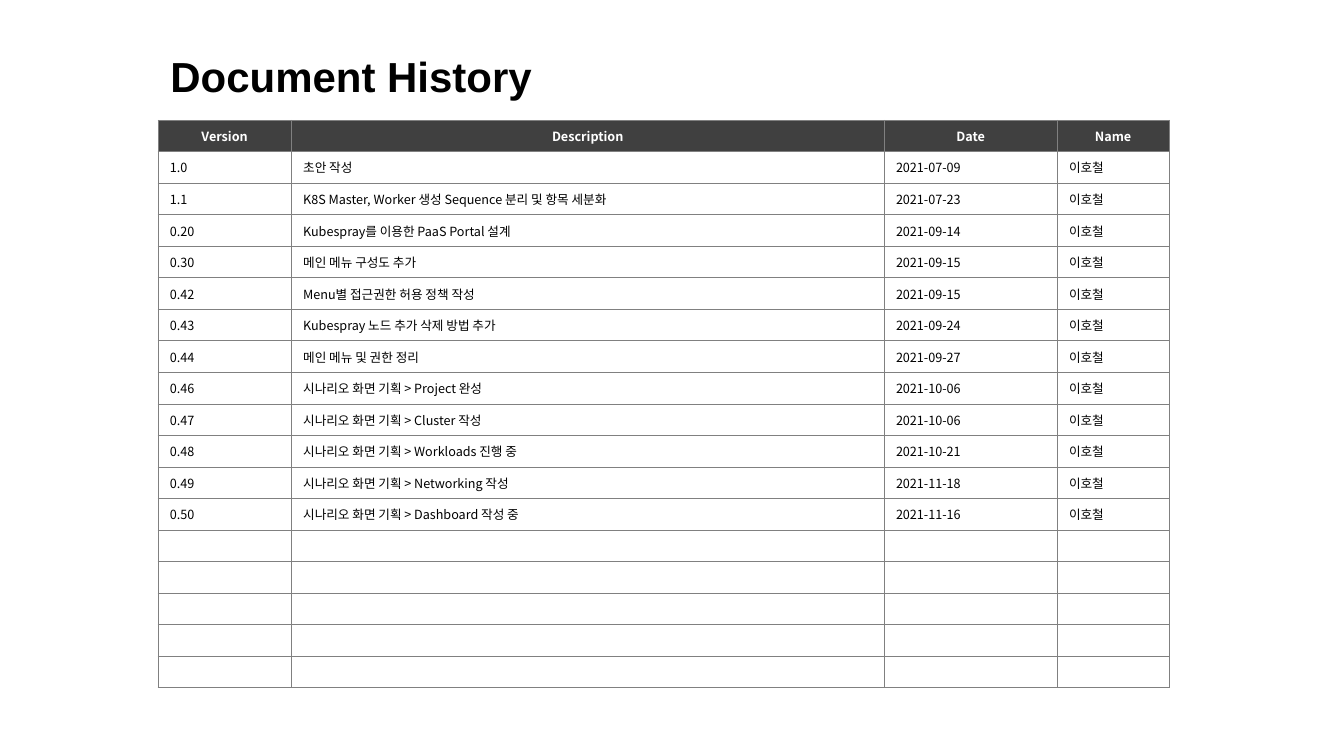
"""Build the document history slide with its version table."""
from lxml.etree import SubElement
from pptx import Presentation
from pptx.dml.color import RGBColor
from pptx.enum.text import MSO_ANCHOR, MSO_AUTO_SIZE, PP_ALIGN
from pptx.oxml.ns import qn
from pptx.util import Cm, Pt

BLACK = RGBColor(0x00, 0x00, 0x00)
WHITE = RGBColor(0xFF, 0xFF, 0xFF)
DARK = RGBColor(0x40, 0x40, 0x40)
GRAY = RGBColor(0x80, 0x80, 0x80)
FONT = "Noto Sans CJK KR"
SIZE = Pt(9)
TOTAL = 18
AUTHOR = "이호철"
WIDTHS = [3.36, 14.94, 4.36, 2.82]
HEADS = ["Version", "Description", "Date", "Name"]
ITEMS = [
    ("1.0", "초안 작성", "2021-07-09"),
    ("1.1", "K8S Master, Worker 생성 Sequence 분리 및 항목 세분화", "2021-07-23"),
    ("0.20", "Kubespray를 이용한 PaaS Portal 설계", "2021-09-14"),
    ("0.30", "메인 메뉴 구성도 추가", "2021-09-15"),
    ("0.42", "Menu별 접근권한 허용 정책 작성", "2021-09-15"),
    ("0.43", "Kubespray 노드 추가 삭제 방법 추가", "2021-09-24"),
    ("0.44", "메인 메뉴 및 권한 정리", "2021-09-27"),
    ("0.46", "시나리오 화면 기획 > Project 완성", "2021-10-06"),
    ("0.47", "시나리오 화면 기획 > Cluster 작성", "2021-10-06"),
    ("0.48", "시나리오 화면 기획 > Workloads 진행 중", "2021-10-21"),
    ("0.49", "시나리오 화면 기획 > Networking 작성", "2021-11-18"),
    ("0.50", "시나리오 화면 기획 > Dashboard 작성 중", "2021-11-16"),
]
HEAD = {"fill": DARK, "color": WHITE, "bold": True, "align": PP_ALIGN.CENTER}
BODY = {"fill": WHITE, "color": BLACK, "bold": False, "align": PP_ALIGN.LEFT}


def apply(target, values):
    for name, value in values.items():
        setattr(target, name, value)


def add_title(slide, text):
    title = slide.shapes.title
    apply(title, {"left": Cm(4.04), "top": Cm(1.45),
                  "width": Cm(24.92), "height": Cm(1.09)})
    frame = title.text_frame
    apply(frame, {"text": text, "vertical_anchor": MSO_ANCHOR.MIDDLE,
                  "auto_size": MSO_AUTO_SIZE.NONE, "word_wrap": True})
    para = frame.paragraphs[0]
    apply(para, {"alignment": PP_ALIGN.LEFT, "line_spacing": 0.9})
    font = para.runs[0].font
    apply(font, {"name": "Arial", "size": Pt(30), "bold": True})
    font.color.rgb = BLACK


def add_edges(cell):
    props = cell._tc.get_or_add_tcPr()
    for side in "LRTB":
        line = SubElement(props, qn(f"a:ln{side}"), w=str(Pt(0.5)))
        fill = SubElement(line, qn("a:solidFill"))
        SubElement(fill, qn("a:srgbClr"), val=str(GRAY))


def add_text(para, text, look):
    para.alignment = look["align"]
    if not text:
        SubElement(para._p, qn("a:endParaRPr"), sz=str(SIZE.centipoints))
        return
    run = para.add_run()
    run.text = text
    apply(run.font, {"name": FONT, "size": SIZE, "bold": look["bold"]})
    run.font.color.rgb = look["color"]
    SubElement(run._r.get_or_add_rPr(), qn("a:ea"), typeface=FONT)


def fill_cell(cell, text, look):
    add_edges(cell)
    cell.fill.solid()
    cell.fill.fore_color.rgb = look["fill"]
    apply(cell, {"margin_left": Cm(0.3), "margin_right": Cm(0.3),
                 "margin_top": Cm(0.13), "margin_bottom": Cm(0.13),
                 "vertical_anchor": MSO_ANCHOR.MIDDLE})
    add_text(cell.text_frame.paragraphs[0], text, look)


def add_grid(slide):
    frame = slide.shapes.add_table(TOTAL, len(HEADS), Cm(3.98), Cm(3.03),
                                   Cm(sum(WIDTHS)), Cm(14.3))
    table = frame.table
    table.horz_banding = False
    for col, width in zip(table.columns, WIDTHS):
        col.width = Cm(width)
    rows = [HEADS] + [(*item, AUTHOR) for item in ITEMS]
    rows += [[""] * len(HEADS)] * (TOTAL - len(rows))
    for index, (row, texts) in enumerate(zip(table.rows, rows)):
        look = BODY if index else HEAD
        for cell, text in zip(row.cells, texts):
            fill_cell(cell, text, look)


def main():
    deck = Presentation()
    apply(deck, {"slide_width": Cm(33.87), "slide_height": Cm(19.05)})
    slide = deck.slides.add_slide(deck.slide_layouts[5])
    add_title(slide, "Document History")
    add_grid(slide)
    deck.save("out.pptx")


if __name__ == "__main__":
    main()
